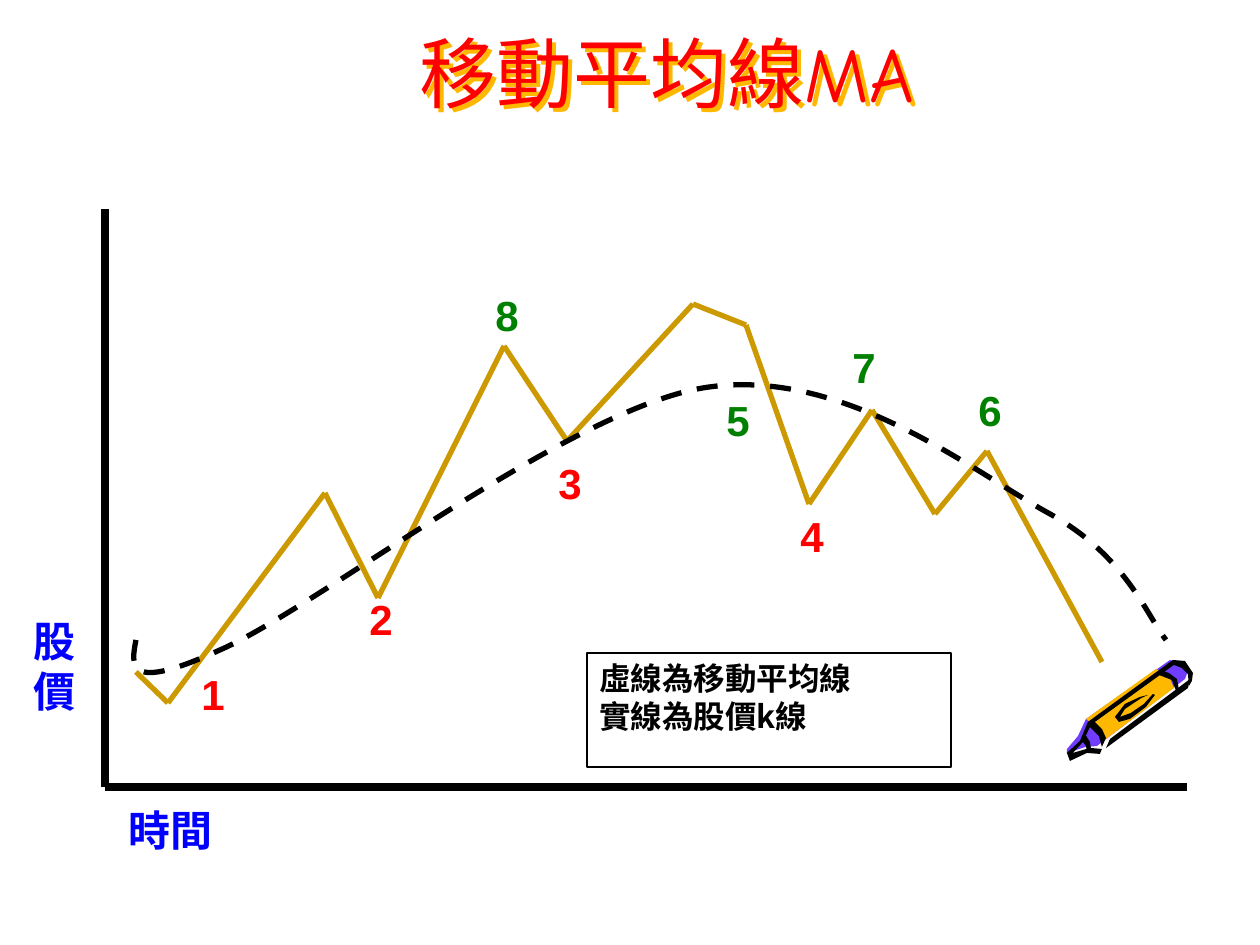
from itertools import pairwise

from lxml.etree import SubElement
from pptx import Presentation
from pptx.dml.color import RGBColor
from pptx.enum.dml import MSO_LINE
from pptx.enum.shapes import MSO_CONNECTOR, MSO_SHAPE
from pptx.enum.text import MSO_ANCHOR, MSO_AUTO_SIZE, PP_ALIGN
from pptx.oxml.ns import qn
from pptx.util import Emu, Pt

SCALE = 914400 / 126

RED = RGBColor(0xFF, 0x00, 0x00)
GREEN = RGBColor(0x00, 0x80, 0x00)
BLUE = RGBColor(0x00, 0x00, 0xFF)
BLACK = RGBColor(0x00, 0x00, 0x00)
OCHRE = RGBColor(0xCC, 0x99, 0x00)
ORANGE = RGBColor(0xFF, 0xB8, 0x00)
PURPLE = RGBColor(0x70, 0x3D, 0xFF)
PALE = RGBColor(0xF8, 0xF8, 0xF8)

PRICES = [
    (31, 463), (63, 494), (220, 284), (273, 389), (399, 137), (462, 232), (588, 95),
    (641, 116), (704, 295), (767, 201), (830, 305), (882, 242), (997, 453),
]
AVERAGE_CURVE = [
    (31, 431), (26, 457), (21, 484), (115, 441), (210, 400), (461, 202), (598, 179),
    (737, 156), (868, 263), (945, 305), (1021, 347), (1042, 407), (1061, 431),
]
SIGNALS = [
    ("1", 84, 453, RED), ("2", 252, 378, RED), ("3", 441, 242, RED), ("4", 683, 295, RED),
    ("5", 609, 179, GREEN), ("6", 861, 169, GREEN), ("7", 735, 126, GREEN), ("8", 378, 74, GREEN),
]
PENCIL_PARTS = [
    (PALE, [(4, 96), (23, 91), (50, 77), (122, 23), (125, 14), (118, 5), (106, 4),
            (23, 62), (14, 81), (3, 93)]),
    (PURPLE, [(118, 19), (30, 86), (18, 87), (0, 93), (0, 89), (11, 76), (19, 59),
              (103, 0), (115, 3), (121, 11)]),
    (ORANGE, [(89, 9), (19, 59), (33, 69), (35, 82), (107, 28), (102, 16)]),
    (BLACK, [(24, 89), (23, 82), (18, 74), (15, 81), (19, 86), (20, 92)]),
    (BLACK, [(125, 21), (126, 13), (118, 1), (106, 0), (21, 62), (13, 81), (0, 93),
             (3, 101), (20, 93), (33, 94), (35, 89), (23, 88), (6, 93), (16, 82),
             (23, 67), (32, 76), (35, 87), (39, 78), (35, 69), (28, 62), (107, 5),
             (115, 8), (121, 14), (122, 26)]),
    (BLACK, [(121, 28), (39, 88), (43, 79), (123, 19)]),
    (BLACK, [(112, 30), (110, 19), (102, 13), (96, 11), (92, 15), (105, 20), (110, 33)]),
    (BLACK, [(86, 34), (77, 44), (64, 53), (53, 57), (58, 49), (73, 39), (81, 35),
             (73, 37), (58, 44), (48, 57), (52, 62), (63, 59), (79, 47), (88, 35)]),
]


def px(length):
    return Emu(round(length * SCALE))


def place(shape, box):
    shape.left, shape.top, shape.width, shape.height = map(px, box)


def write_lines(frame, lines, size, color, font="Arial"):
    frame.text = "\n".join(lines)
    for para in frame.paragraphs:
        para.font.name = font
        para.font.size = Pt(size)
        para.font.bold = True
        para.font.color.rgb = color


def add_label(page, lines, box, color):
    label = page.shapes.add_textbox(*map(px, box))
    label.text_frame.word_wrap = False
    label.text_frame.auto_size = MSO_AUTO_SIZE.SHAPE_TO_FIT_TEXT
    write_lines(label.text_frame, lines, 24, color)


def add_line(page, box, start, end, color, weight):
    left, top = box[:2]
    line = page.shapes.add_connector(
        MSO_CONNECTOR.STRAIGHT,
        px(left + start[0]), px(top + start[1]), px(left + end[0]), px(top + end[1]),
    )
    line.line.color.rgb = color
    line.line.width = Pt(weight)
    SubElement(line._element.spPr, qn("a:effectLst"))


def add_outline(shapes, box, points, close):
    builder = shapes.build_freeform(*points[0], scale=SCALE)
    builder.add_line_segments(points[1:], close=close)
    outline = builder.convert_to_shape(px(box[0]), px(box[1]))
    outline.shadow.inherit = False
    return outline


def add_average(page, box):
    curve = add_outline(page.shapes, box, AVERAGE_CURVE, False)
    curve.fill.background()
    curve.line.color.rgb = BLACK
    curve.line.width = Pt(3)
    curve.line.dash_style = MSO_LINE.DASH
    outline = curve._element.find(".//" + qn("a:path"))
    segments = outline.findall(qn("a:lnTo"))
    for first in range(0, len(segments), 3):
        bezier = SubElement(outline, qn("a:cubicBezTo"))
        for segment in segments[first:first + 3]:
            bezier.append(segment[0])
            outline.remove(segment)


def add_title(page, box):
    title = page.shapes.title
    place(title, box)
    frame = title.text_frame
    frame.text = "移動平均線MA"
    frame.vertical_anchor = MSO_ANCHOR.MIDDLE
    para = frame.paragraphs[0]
    para.alignment = PP_ALIGN.CENTER
    para.font.name = "Comic Neue"
    para.font.size = Pt(44)
    para.font.color.rgb = RED
    effects = SubElement(title._element.spPr, qn("a:effectLst"))
    shadow = SubElement(effects, qn("a:outerShdw"), dist=str(px(6)), dir="2700000")
    SubElement(shadow, qn("a:srgbClr"), val=str(ORANGE))


def add_pencil(page, box):
    pencil = page.shapes.add_group_shape()
    for color, points in PENCIL_PARTS:
        part = add_outline(pencil.shapes, box, points, True)
        part.fill.solid()
        part.fill.fore_color.rgb = color
        part.line.fill.background()


def add_price_chart(page, box):
    left, top, width, height = box
    for start, end in pairwise(PRICES):
        add_line(page, box, start, end, OCHRE, 3)
    add_average(page, box)
    for digit, x, y, color in SIGNALS:
        add_label(page, [digit], (left + x, top + y, 49, 63), color)
    for end in ((width, height), (0, 0)):
        add_line(page, box, (0, height), end, BLACK, 4.5)
    add_label(page, ["時間"], (left + 11, top + height + 11, 110, 63), BLUE)
    add_label(page, ["股", "價"], (left - 84, top + 400, 67, 113), BLUE)


def add_legend(page, box):
    legend = page.shapes.add_shape(MSO_SHAPE.RECTANGLE, *map(px, box))
    legend.shadow.inherit = False
    legend.fill.background()
    legend.line.color.rgb = BLACK
    legend.line.width = Pt(0.75)
    frame = legend.text_frame
    frame.word_wrap = False
    frame.vertical_anchor = MSO_ANCHOR.TOP
    write_lines(frame, ["虛線為移動平均線", "實線為股價k線"], 18, BLACK, "Noto Sans CJK SC")
    for para in frame.paragraphs:
        para.alignment = PP_ALIGN.LEFT


def main():
    deck = Presentation()
    deck.slide_width, deck.slide_height = px(1260), px(945)
    page = deck.slides.add_slide(deck.slide_layouts[5])
    add_pencil(page, (1067, 660, 126, 101))
    add_title(page, (147, 35, 1040, 73))
    add_price_chart(page, (105, 209, 1082, 578))
    add_legend(page, (587, 653, 364, 114))
    deck.save("out.pptx")


if __name__ == "__main__":
    main()
